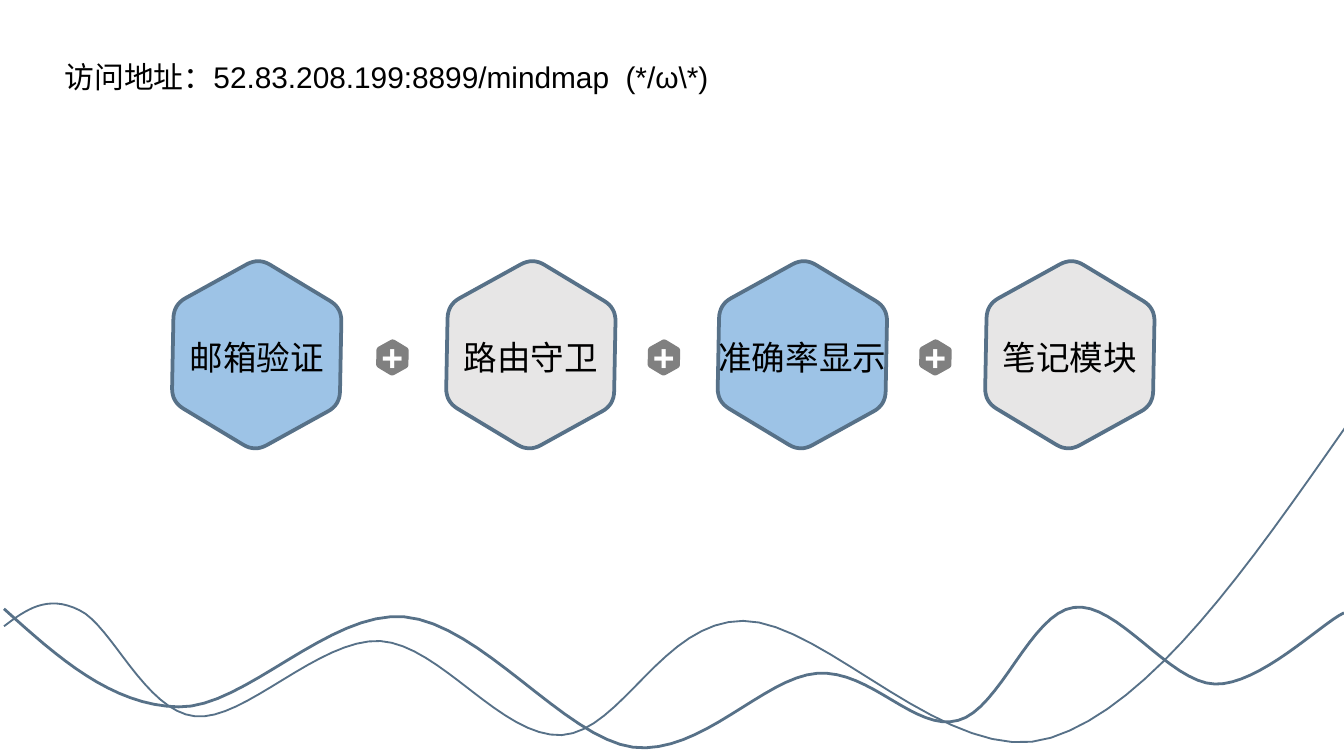
from dataclasses import dataclass
from math import cos, pi, sin, sqrt

from lxml import etree
from pptx import Presentation
from pptx.dml.color import RGBColor
from pptx.enum.text import MSO_ANCHOR, MSO_AUTO_SIZE, PP_ALIGN
from pptx.oxml.ns import qn
from pptx.util import Inches, Pt

LEFT = PP_ALIGN.LEFT
CENTER = PP_ALIGN.CENTER
TOP = MSO_ANCHOR.TOP
FIXED_SIZE = MSO_AUTO_SIZE.NONE
TITLE_ONLY = 5

CELL = Inches(1)
COLUMNS = 10
ROWS = COLUMNS * 9 / 16
HEXAGON_ROW, PLUS_ROW = 2.64, 2.66
HEXAGON_HEIGHT, PLUS_HEIGHT = 1.25, 0.24
CORNER_SHARE = 0.14
HEXAGON_TURN = 31.1
CURVE_STEPS = 16
FIRST_PLUS, PLUS_STEP = 2.92, 2.02


@dataclass(frozen=True)
class Theme:
    outline: str = "577188"
    blue: str = "9DC3E6"
    gray: str = "E7E6E6"
    plus_fill: str = "808080"
    white: str = "FFFFFF"
    black: str = "000000"
    latin_font: str = "Arial"
    chinese_font: str = "Noto Sans CJK SC"
    title_size: float = 16
    label_size: float = 18
    plus_size: float = 20


THEME = Theme()

FEATURES = [
    ("邮箱验证", 1.91, THEME.blue),
    ("路由守卫", 3.95, THEME.gray),
    ("准确率显示", 5.97, THEME.blue),
    ("笔记模块", 7.96, THEME.gray),
]

THICK_WAVE = [
    (0.03, 4.53), (0.43, 4.89), (0.83, 5.25), (1.33, 5.26),
    (1.82, 5.27), (2.45, 4.54), (3.01, 4.59),
    (3.58, 4.64), (4.2, 5.49), (4.71, 5.56),
    (5.22, 5.62), (5.68, 5.04), (6.08, 5.01),
    (6.48, 4.98), (6.81, 5.45), (7.13, 5.36),
    (7.44, 5.28), (7.67, 4.56), (7.99, 4.52),
    (8.31, 4.47), (8.7, 5.08), (9.04, 5.09),
    (9.37, 5.1), (9.83, 4.64), (10, 4.56),
]

THIN_WAVE = [
    (10.01, 3.18), (9.29, 4.21), (8.57, 5.25), (7.82, 5.49),
    (7.07, 5.73), (6.14, 4.62), (5.53, 4.62),
    (4.93, 4.62), (4.63, 5.44), (4.18, 5.47),
    (3.73, 5.49), (3.28, 4.8), (2.83, 4.77),
    (2.37, 4.75), (1.82, 5.37), (1.45, 5.33),
    (1.08, 5.29), (0.83, 4.65), (0.59, 4.54),
    (0.35, 4.42), (0.19, 4.54), (0.03, 4.66),
]


def cells(count):
    return round(count * CELL)


def color(value):
    return RGBColor.from_string(value)


def blend(start, end, share):
    return tuple(a + (b - a) * share for a, b in zip(start, end))


def curve_point(points, share):
    while len(points) > 1:
        points = [blend(a, b, share) for a, b in zip(points, points[1:])]
    return points[0]


def curve_points(points, steps):
    return [curve_point(points, step / steps) for step in range(steps + 1)]


def wave_points(controls):
    points = controls[:1]
    for start in range(0, len(controls) - 1, 3):
        points += curve_points(controls[start:start + 4], CURVE_STEPS)[1:]
    return points


def hexagon_points(center_x, center_y, height):
    radius = height / sqrt(3)
    corners = [
        (center_x + radius * cos(turn * pi / 3), center_y + radius * sin(turn * pi / 3))
        for turn in range(6)
    ]
    points = []
    for index, corner in enumerate(corners):
        entry = blend(corner, corners[index - 1], CORNER_SHARE)
        leave = blend(corner, corners[(index + 1) % 6], CORNER_SHARE)
        points += curve_points([entry, corner, leave], 8)
    return points


def add_outline(shapes, points, closed=False, fill=None, line=None, width=1):
    scaled = [(cells(x), cells(y)) for x, y in points]
    builder = shapes.build_freeform(*scaled[0], scale=1.0)
    builder.add_line_segments(scaled[1:], close=closed)
    shape = builder.convert_to_shape()
    shape.shadow.inherit = False
    if fill:
        shape.fill.solid()
        shape.fill.fore_color.rgb = color(fill)
    else:
        shape.fill.background()
    if line:
        shape.line.color.rgb = color(line)
        shape.line.width = Pt(width)
    else:
        shape.line.fill.background()
    return shape


def add_hexagon(shapes, center_x, center_y, height, **style):
    points = hexagon_points(center_x, center_y, height)
    shape = add_outline(shapes, points, closed=True, **style)
    shape.rotation = HEXAGON_TURN


def write_text(shape, text, size, font, ink=THEME.black, bold=False, align=LEFT, wrap=True):
    frame = shape.text_frame
    frame.word_wrap = wrap
    frame.auto_size = FIXED_SIZE
    frame.vertical_anchor = TOP
    paragraph = frame.paragraphs[0]
    paragraph.alignment = align
    run = paragraph.add_run()
    run.text = text
    run.font.size = Pt(size)
    run.font.name = font
    run.font.bold = bold
    run.font.color.rgb = color(ink)
    east_asian = etree.Element(qn("a:ea"), typeface=THEME.chinese_font)
    run.font._element.find(qn("a:latin")).addnext(east_asian)


def add_label(shapes, text, center_x, center_y, width, height, **style):
    box = shapes.add_textbox(
        cells(center_x - width / 2), cells(center_y - height / 2), cells(width), cells(height)
    )
    write_text(box, text, **style)


def add_plus(shapes, center_x):
    group = shapes.add_group_shape()
    add_hexagon(group.shapes, center_x, PLUS_ROW, PLUS_HEIGHT, fill=THEME.plus_fill)
    add_label(group.shapes, "+", center_x, PLUS_ROW, 0.36, 0.44, size=THEME.plus_size,
              font=THEME.latin_font, ink=THEME.white, bold=True, wrap=False)


def set_title(slide, text):
    title = slide.shapes.title
    title.left, title.top = cells(0.38), cells(0.39)
    title.width, title.height = cells(6.13), cells(0.37)
    write_text(title, text, THEME.title_size, THEME.latin_font)


def main():
    presentation = Presentation()
    presentation.slide_width = cells(COLUMNS)
    presentation.slide_height = cells(ROWS)
    slide = presentation.slides.add_slide(presentation.slide_layouts[TITLE_ONLY])
    shapes = slide.shapes
    set_title(slide, "访问地址：52.83.208.199:8899/mindmap  (*/ω\\*)")
    for controls, width in ((THICK_WAVE, 1.5), (THIN_WAVE, 1)):
        add_outline(shapes, wave_points(controls), line=THEME.outline, width=width)
    for text, center_x, fill in FEATURES:
        add_hexagon(shapes, center_x, HEXAGON_ROW, HEXAGON_HEIGHT,
                    fill=fill, line=THEME.outline, width=2)
        add_label(shapes, text, center_x, HEXAGON_ROW + 0.02, 1.45, 0.4,
                  size=THEME.label_size, font=THEME.chinese_font, align=CENTER)
    for index in range(len(FEATURES) - 1):
        add_plus(shapes, FIRST_PLUS + index * PLUS_STEP)
    presentation.save("out.pptx")


if __name__ == "__main__":
    main()
